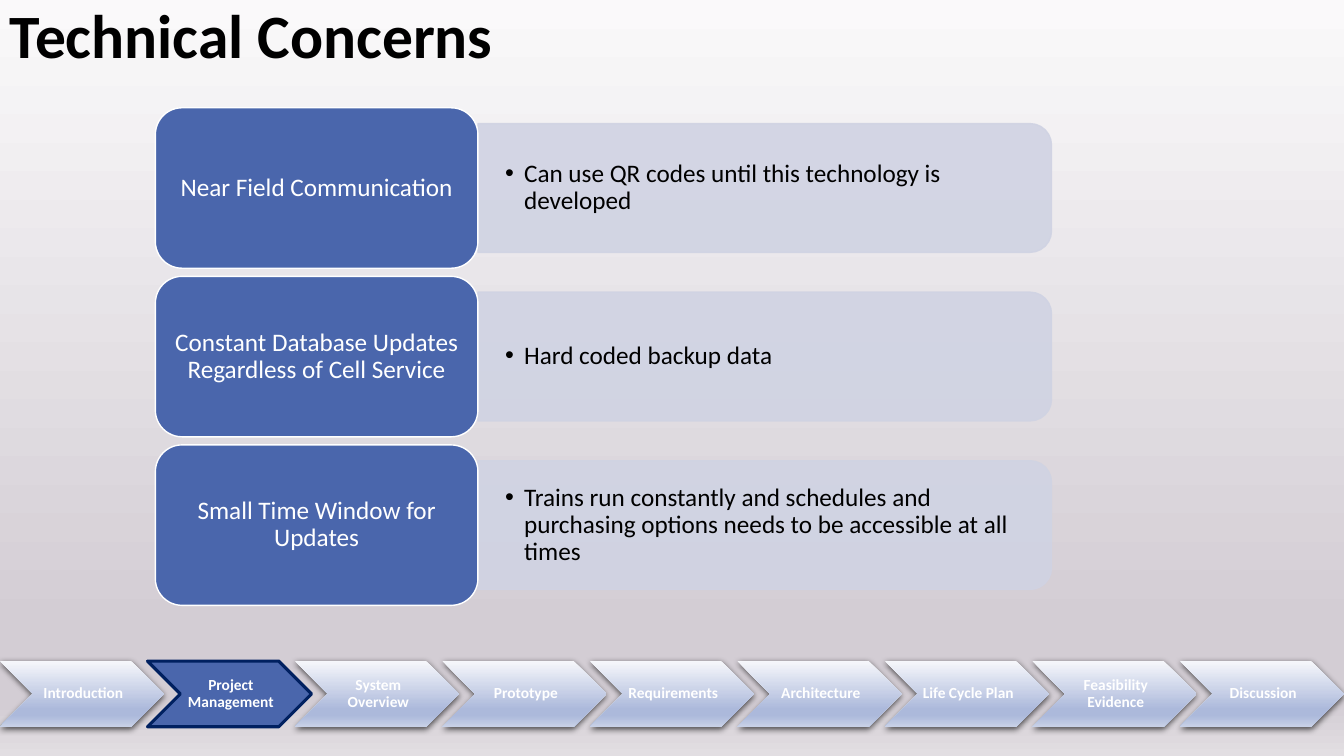
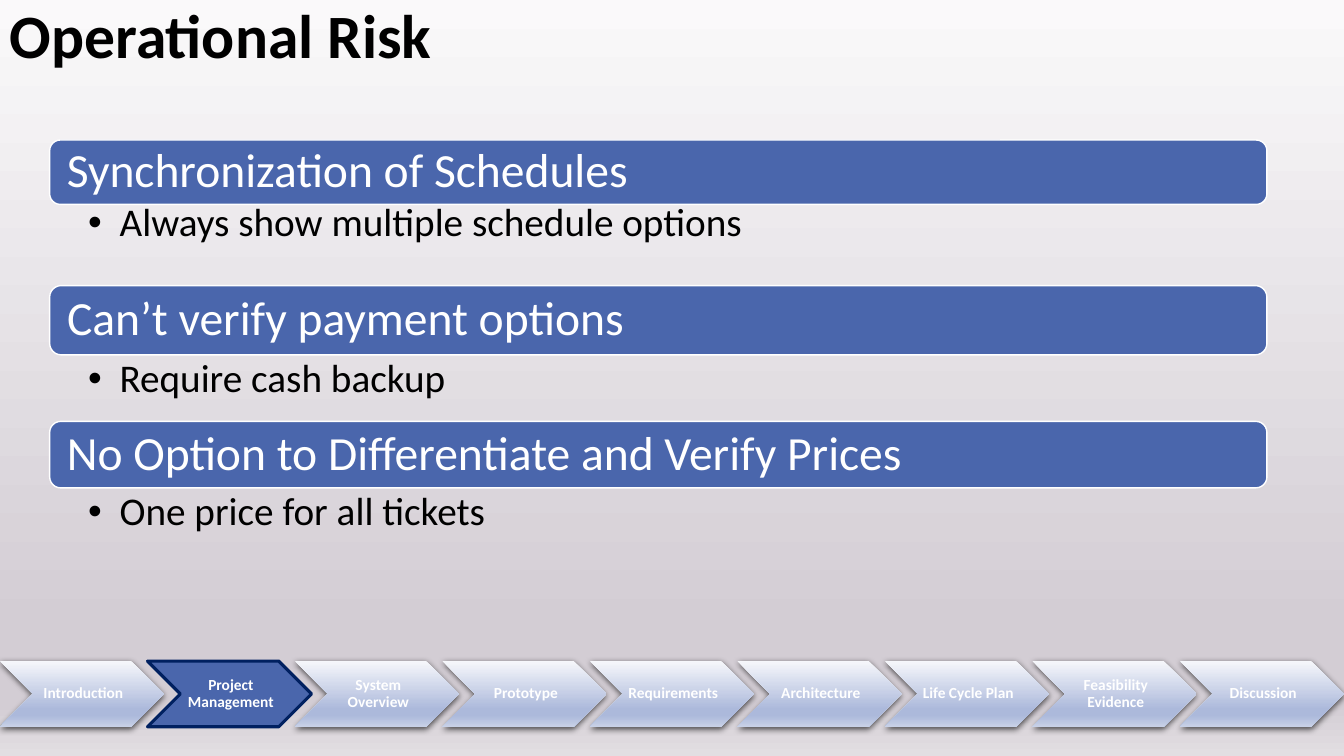
"""Build two project slides that share a background, a title style and a chevron bar."""
from lxml import etree
from pptx import Presentation
from pptx import util as u
from pptx.dml.color import RGBColor
from pptx.enum import shapes, text
from pptx.oxml import ns

COLOURS = {
    "black": "000000", "white": "FFFFFF", "blue": "4A66AC",
    "navy": "002060", "pale": "D0D3E3",
}
PAGE_STOPS = [(0, "FAF9FA"), (83, "D3CDD4"), (93, "D3CDD4"), (100, "E2DEE2")]
CHEVRON_STOPS = [(0, "F6F7FB"), (74, "ACB9DB"), (83, "ACB9DB"), (100, "C8D1E7")]
FONT = "Calibri"
PAGE_WIDTH, PAGE_HEIGHT = 960, 540
SECTIONS = [
    "Introduction", "Project Management", "System Overview", "Prototype", "Requirements",
    "Architecture", "Life Cycle Plan", "Feasibility Evidence", "Discussion",
]
CURRENT_SECTION = "Project Management"
CONCERNS = [
    ("Near Field Communication", "Can use QR codes until this technology is developed"),
    ("Constant Database Updates Regardless of Cell Service", "Hard coded backup data"),
    ("Small Time Window for Updates",
     "Trains run constantly and schedules and purchasing options needs to be accessible at all times"),
]
RISKS = [
    ("Synchronization of Schedules", 100, 46, "Always show multiple schedule options", 142, 62),
    ("Can’t verify payment options", 204, 49.5, "Require cash backup", 253.5, 47.5),
    ("No Option to Differentiate and Verify Prices", 301, 47.5, "One price for all tickets", 348.5, 41),
]
SHAPE = shapes.MSO_SHAPE
MIDDLE, TOP = text.MSO_ANCHOR.MIDDLE, text.MSO_ANCHOR.TOP
LEFT, CENTER = text.PP_ALIGN.LEFT, text.PP_ALIGN.CENTER


def rgb(name):
    return RGBColor.from_string(COLOURS[name])


def add_node(parent, tag, **attributes):
    return etree.SubElement(parent, ns.qn(tag), {key: str(value) for key, value in attributes.items()})


def fill_gradient(owner, fill, stops):
    fill.gradient()
    fill.gradient_angle = 270
    stop_list = next(owner.element.iter(ns.qn("a:gsLst")))
    for stop in list(stop_list):
        stop_list.remove(stop)
    for position, colour in stops:
        add_node(add_node(stop_list, "a:gs", pos=position * 1000), "a:srgbClr", val=colour)


def add_shadow(shape):
    effects = next(shape.element.iter(ns.qn("a:effectLst")))
    shadow = add_node(effects, "a:outerShdw", blurRad=u.Pt(4.5), dist=u.Pt(1.5),
                      dir=5400000, rotWithShape=0)
    add_node(add_node(shadow, "a:srgbClr", val=COLOURS["black"]), "a:alpha", val=63000)


def make_translucent(shape, percent):
    for colour in shape.element.spPr.iter(ns.qn("a:srgbClr")):
        add_node(colour, "a:alpha", val=percent * 1000)


def write(shape, words, size, colour="white", bold=False, align=CENTER, anchor=MIDDLE,
          insets=(0, 0, 0, 0), bullet_indent=0):
    frame = shape.text_frame
    frame.word_wrap = True
    frame.vertical_anchor = anchor
    frame.margin_left, frame.margin_top, frame.margin_right, frame.margin_bottom = map(u.Pt, insets)
    para = frame.paragraphs[0]
    para.alignment = align
    para.line_spacing = 0.9
    if bullet_indent:
        properties = para._p.get_or_add_pPr()
        properties.set("marL", str(u.Pt(bullet_indent)))
        properties.set("indent", str(-u.Pt(bullet_indent)))
        add_node(properties, "a:buFont", typeface="Arial")
        add_node(properties, "a:buChar", char="•")
    span = para.add_run()
    span.text = words
    span.font.name, span.font.size, span.font.bold = FONT, u.Pt(size), bold
    span.font.color.rgb = rgb(colour)


def add_text(page, words, left, top, width, height, size, **style):
    box = page.shapes.add_textbox(*map(u.Pt, (left, top, width, height)))
    write(box, words, size, colour="black", align=LEFT, **style)


def add_block(page, kind, left, top, width, height, fill=None, line=None, line_width=1):
    shape = page.shapes.add_shape(kind, *map(u.Pt, (left, top, width, height)))
    shape.shadow.inherit = False
    if fill:
        shape.fill.solid()
        shape.fill.fore_color.rgb = rgb(fill)
    if line:
        shape.line.color.rgb = rgb(line)
        shape.line.width = u.Pt(line_width)
    else:
        shape.line.fill.background()
    return shape


def add_section_bar(page):
    width, height, top = 117.2, 46.9, 472.2
    pitch = (PAGE_WIDTH - width) / (len(SECTIONS) - 1)
    for index, name in enumerate(SECTIONS):
        place = (index * pitch, top, width, height)
        if name == CURRENT_SECTION:
            chevron = add_block(page, SHAPE.CHEVRON, *place, "blue", "navy", 2.25)
        else:
            chevron = add_block(page, SHAPE.CHEVRON, *place)
            fill_gradient(chevron, chevron.fill, CHEVRON_STOPS)
            add_shadow(chevron)
        write(chevron, name, 11, bold=True, insets=(3.5, 1.5, 1.5, 1.5))


def add_concern(page, top, concern, answer):
    left, width, height = 111, 230.4, 114.6
    band_left, band_width, band_height = left + width, 409.7, 92
    middle = top + height / 2
    band = add_block(page, SHAPE.ROUND_2_SAME_RECTANGLE,
                     band_left + (band_width - band_height) / 2, middle - band_width / 2,
                     band_height, band_width, "pale", "pale")
    band.rotation = 90
    make_translucent(band, 90)
    add_text(page, answer, band_left, middle - 41.5, 405, 83, 18, anchor=MIDDLE,
             insets=(19.5, 10, 19.5, 10), bullet_indent=13.5)
    card = add_block(page, SHAPE.ROUNDED_RECTANGLE, left, top, width, height, "blue", "white")
    write(card, concern, 18, insets=(5, 3, 5, 3))


def add_risk(page, risk, top, height, answer, answer_top, answer_height):
    left, width = 35.5, 869.5
    bar = add_block(page, SHAPE.ROUNDED_RECTANGLE, left, top, width, height, "blue", "white")
    write(bar, risk, 34, align=LEFT, insets=(10, 0, 10, 0))
    add_text(page, answer, left, answer_top, width, answer_height, 28, anchor=TOP,
             insets=(27.5, 3, 15.5, 3), bullet_indent=22.5)


def add_page(deck, title):
    page = deck.slides.add_slide(deck.slide_layouts[6])
    add_text(page, title, 0, 0, 828, 104.4, 44, bold=True, anchor=TOP, insets=(7.2, 3.6, 7.2, 3.6))
    add_section_bar(page)
    return page


def main():
    deck = Presentation()
    deck.slide_width, deck.slide_height = u.Pt(PAGE_WIDTH), u.Pt(PAGE_HEIGHT)
    master = deck.slide_master
    fill_gradient(master, master.background.fill, PAGE_STOPS)

    concerns_page = add_page(deck, "Technical Concerns")
    for index, (concern, answer) in enumerate(CONCERNS):
        add_concern(concerns_page, 77 + index * 120.4, concern, answer)

    risks_page = add_page(deck, "Operational Risk")
    for risk in RISKS:
        add_risk(risks_page, *risk)

    deck.save("out.pptx")


if __name__ == "__main__":
    main()
